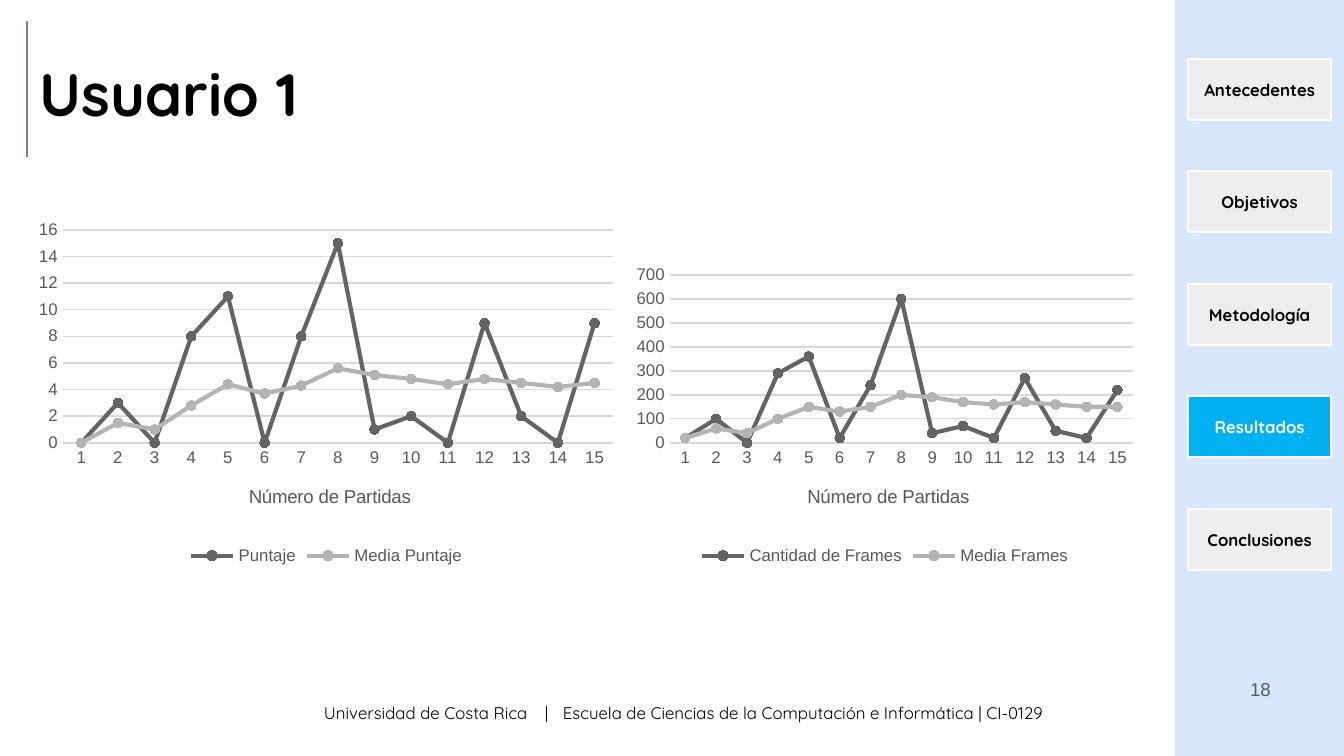
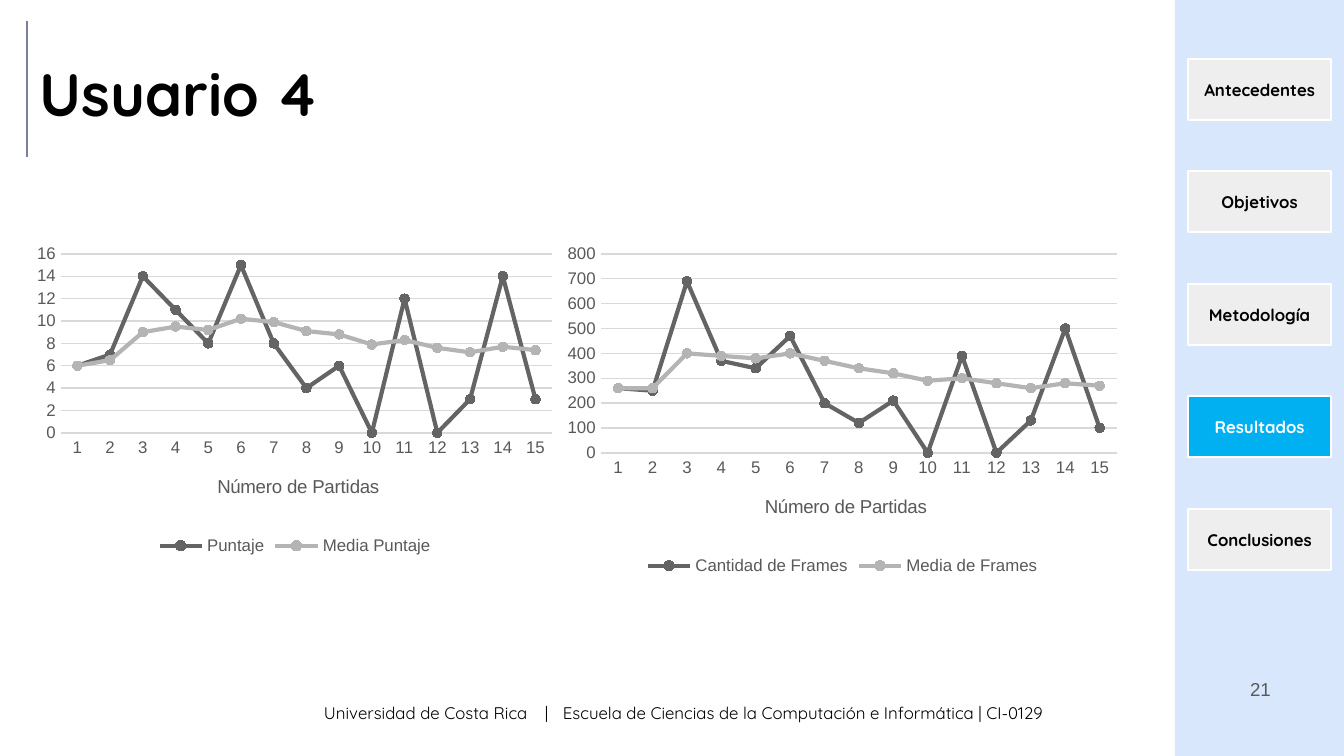
from dataclasses import dataclass

from pptx import Presentation
from pptx import util as u
from pptx.chart.data import CategoryChartData
from pptx.dml.color import RGBColor
from pptx.enum import chart as charts, shapes, text
from pptx.oxml import parse_xml
from pptx.oxml.ns import nsdecls, qn

EMU_PER_PX = 914400 / 134.4


@dataclass(frozen=True)
class Theme:
    heading_font: str = "Quicksand"
    chart_font: str = "Arial"
    ink: str = "000000"
    paper: str = "FFFFFF"
    band: str = "D9E7FD"
    tab: str = "EEEEEE"
    active_tab: str = "00B0F0"
    rule: str = "7D809D"
    muted: str = "595959"
    grid: str = "D9D9D9"
    series: tuple = ("646464", "B4B4B4")
    title_size: int = 32
    label_size: int = 9
    number_size: int = 10
    hairline: float = 0.75
    series_line: float = 2.25


THEME = Theme()
SECTIONS = ("Antecedentes", "Objetivos", "Metodología", "Resultados", "Conclusiones")
ACTIVE_SECTION = "Resultados"
FOOTER = ("Universidad de Costa Rica", "|",
          "Escuela de Ciencias de la Computación e Informática | CI-0129")
SCORE_AXIS = (16, 2, 35)

USERS = [
    ("Usuario 1", 18, [
        ((28, 214, 597, 357), SCORE_AXIS, {
            "Puntaje": (0, 3, 0, 8, 11, 0, 8, 15, 1, 2, 0, 9, 2, 0, 9),
            "Media Puntaje": (0, 1.5, 1, 2.8, 4.4, 3.7, 4.3, 5.6, 5.1, 4.8,
                              4.4, 4.8, 4.5, 4.2, 4.5)}),
        ((625, 259, 520, 312), (700, 100, 45), {
            "Cantidad de Frames": (20, 100, 0, 290, 360, 20, 240, 600, 40, 70,
                                   20, 270, 50, 20, 220),
            "Media Frames": (20, 60, 40, 100, 150, 130, 150, 200, 190, 170,
                             160, 170, 160, 150, 150)}),
    ]),
    ("Usuario 4", 21, [
        ((26, 238, 538, 323), SCORE_AXIS, {
            "Puntaje": (6, 7, 14, 11, 8, 15, 8, 4, 6, 0, 12, 0, 3, 14, 3),
            "Media Puntaje": (6, 6.5, 9, 9.5, 9.2, 10.2, 9.9, 9.1, 8.8, 7.9,
                              8.3, 7.6, 7.2, 7.7, 7.4)}),
        ((556, 238, 573, 343), (800, 100, 45), {
            "Cantidad de Frames": (260, 250, 690, 370, 340, 470, 200, 120, 210, 0,
                                   390, 0, 130, 500, 100),
            "Media de Frames": (260, 260, 400, 390, 380, 400, 370, 340, 320, 290,
                                300, 280, 260, 280, 270)}),
    ]),
]


def px(length):
    return u.Emu(round(length * EMU_PER_PX))


def place(box):
    return [px(length) for length in box]


def rgb(colour):
    return RGBColor.from_string(colour)


def style_font(font, size, colour, name, bold=False):
    font.size = u.Pt(size)
    font.name = name
    font.bold = bold
    font.color.rgb = rgb(colour)


def style_line(line, colour, width):
    line.color.rgb = rgb(colour)
    line.width = u.Pt(width)


def write(shape, content, size, colour, name=THEME.heading_font, bold=False,
          align=text.PP_ALIGN.LEFT, anchor=text.MSO_ANCHOR.TOP):
    frame = shape.text_frame
    frame.word_wrap = True
    frame.auto_size = text.MSO_AUTO_SIZE.NONE
    frame.vertical_anchor = anchor
    frame.margin_left = frame.margin_right = u.Inches(0.1)
    frame.margin_top = frame.margin_bottom = u.Inches(0.1)
    paragraph = frame.paragraphs[0]
    paragraph.alignment = align
    run = paragraph.add_run()
    run.text = content
    style_font(run.font, size, colour, name, bold)
    return frame


def add_box(slide, box, fill, outline=None):
    shape = slide.shapes.add_shape(shapes.MSO_SHAPE.RECTANGLE, *place(box))
    shape.shadow.inherit = False
    shape.fill.solid()
    shape.fill.fore_color.rgb = rgb(fill)
    if outline:
        style_line(shape.line, outline, THEME.hairline)
    else:
        shape.line.fill.background()
    return shape


def add_sidebar(slide, box, number):
    left, top, width, height = box
    add_box(slide, box, THEME.band)
    for index, section in enumerate(SECTIONS):
        active = section == ACTIVE_SECTION
        tab = add_box(slide, (left + 13, top + 59 + index * 225 // 2, 143, 61),
                      THEME.active_tab if active else THEME.tab, THEME.paper)
        write(tab, section, THEME.label_size, THEME.paper if active else THEME.ink,
              bold=True, align=text.PP_ALIGN.CENTER, anchor=text.MSO_ANCHOR.MIDDLE)
    page = slide.shapes.add_textbox(*place((left + 28, top + height - 96, 81, 58)))
    write(page, str(number), THEME.number_size, THEME.muted, THEME.chart_font,
          align=text.PP_ALIGN.RIGHT, anchor=text.MSO_ANCHOR.MIDDLE)


def add_footer(slide, box):
    footer = slide.shapes.add_textbox(*place(box))
    frame = write(footer, "\t".join(FOOTER), THEME.label_size, THEME.ink)
    frame.margin_left = px(114)
    stops = "".join(f'<a:tab pos="{px(stop)}" algn="l"/>' for stop in (221, 239))
    properties = frame.paragraphs[0]._p.get_or_add_pPr()
    properties.append(parse_xml(f'<a:tabLst {nsdecls("a")}>{stops}</a:tabLst>'))


def add_heading(slide, box, title):
    left, top, width, height = box
    rule = slide.shapes.add_connector(
        shapes.MSO_CONNECTOR.STRAIGHT, *place((left, top, left, top + height)))
    style_line(rule.line, THEME.rule, THEME.hairline)
    rule._element.spPr.append(parse_xml(f'<a:effectLst {nsdecls("a")}/>'))
    heading = slide.shapes.title
    heading.left, heading.top, heading.width, heading.height = place(
        (left - 1, top + 22, width, 99))
    write(heading, title, THEME.title_size, THEME.ink, bold=True)


def set_layout(element, index, inner=False, **fractions):
    for old in element.findall(qn("c:layout")):
        element.remove(old)
    target = '<c:layoutTarget val="inner"/>' if inner else ""
    modes = "".join(f'<c:{key}Mode val="edge"/>' for key in ("x", "y"))
    values = "".join(f'<c:{key} val="{value:.4f}"/>' for key, value in fractions.items())
    element.insert(index, parse_xml(
        f'<c:layout {nsdecls("c")}><c:manualLayout>{target}{modes}{values}'
        '</c:manualLayout></c:layout>'))


def style_axes(chart, maximum, step):
    for axis in (chart.category_axis, chart.value_axis):
        axis.major_tick_mark = axis.minor_tick_mark = charts.XL_TICK_MARK.NONE
        style_font(axis.tick_labels.font, THEME.label_size, THEME.muted, THEME.chart_font)
    style_line(chart.category_axis.format.line, THEME.grid, THEME.hairline)
    values = chart.value_axis
    values.minimum_scale, values.maximum_scale, values.major_unit = 0, maximum, step
    values.format.line.fill.background()
    style_line(values.major_gridlines.format.line, THEME.grid, THEME.hairline)
    run = chart.category_axis.axis_title.text_frame.paragraphs[0].add_run()
    run.text = "Número de Partidas"
    style_font(run.font, THEME.number_size, THEME.muted, THEME.chart_font)


def add_line_chart(slide, box, axis, series_values):
    width, height = box[2:]
    maximum, step, label_width = axis
    data = CategoryChartData()
    data.categories = [str(game) for game in range(1, 16)]
    for name, values in series_values.items():
        data.add_series(name, values)
    chart = slide.shapes.add_chart(
        charts.XL_CHART_TYPE.LINE_MARKERS, *place(box), data).chart
    style_font(chart.font, THEME.number_size, THEME.ink, THEME.chart_font)
    chart.has_title = False
    chart.has_legend = True
    chart.legend.position = charts.XL_LEGEND_POSITION.BOTTOM
    chart.legend.include_in_layout = False
    style_font(chart.legend.font, THEME.label_size, THEME.muted, THEME.chart_font)
    style_axes(chart, maximum, step)
    chart.plots[0].vary_by_categories = False
    for series, colour in zip(chart.plots[0].series, THEME.series):
        series.smooth = False
        style_line(series.format.line, colour, THEME.series_line)
        marker = series.marker
        marker.style, marker.size = charts.XL_MARKER_STYLE.CIRCLE, 5
        marker.format.fill.solid()
        marker.format.fill.fore_color.rgb = rgb(colour)
        style_line(marker.format.line, colour, THEME.hairline)
    plot_area = chart._chartSpace.xpath("c:chart/c:plotArea")[0]
    set_layout(plot_area, 0, inner=True, x=label_width / width, y=16 / height,
               w=(width - label_width - 12) / width, h=(height - 144) / height)
    set_layout(chart.category_axis.axis_title._element, 1,
               x=(width / 2 - 81) / width, y=(height - 90) / height)


def add_user_slide(presentation, title, number, user_charts):
    slide = presentation.slides.add_slide(presentation.slide_layouts[5])
    add_sidebar(slide, (1175, 0, 169, 756), number)
    add_footer(slide, (210, 689, 948, 47))
    add_heading(slide, (27, 21, 1134, 136), title)
    for box, axis, series_values in user_charts:
        add_line_chart(slide, box, axis, series_values)


def main():
    presentation = Presentation()
    presentation.slide_width, presentation.slide_height = px(1344), px(756)
    for title, number, user_charts in USERS:
        add_user_slide(presentation, title, number, user_charts)
    presentation.save("out.pptx")


if __name__ == "__main__":
    main()
